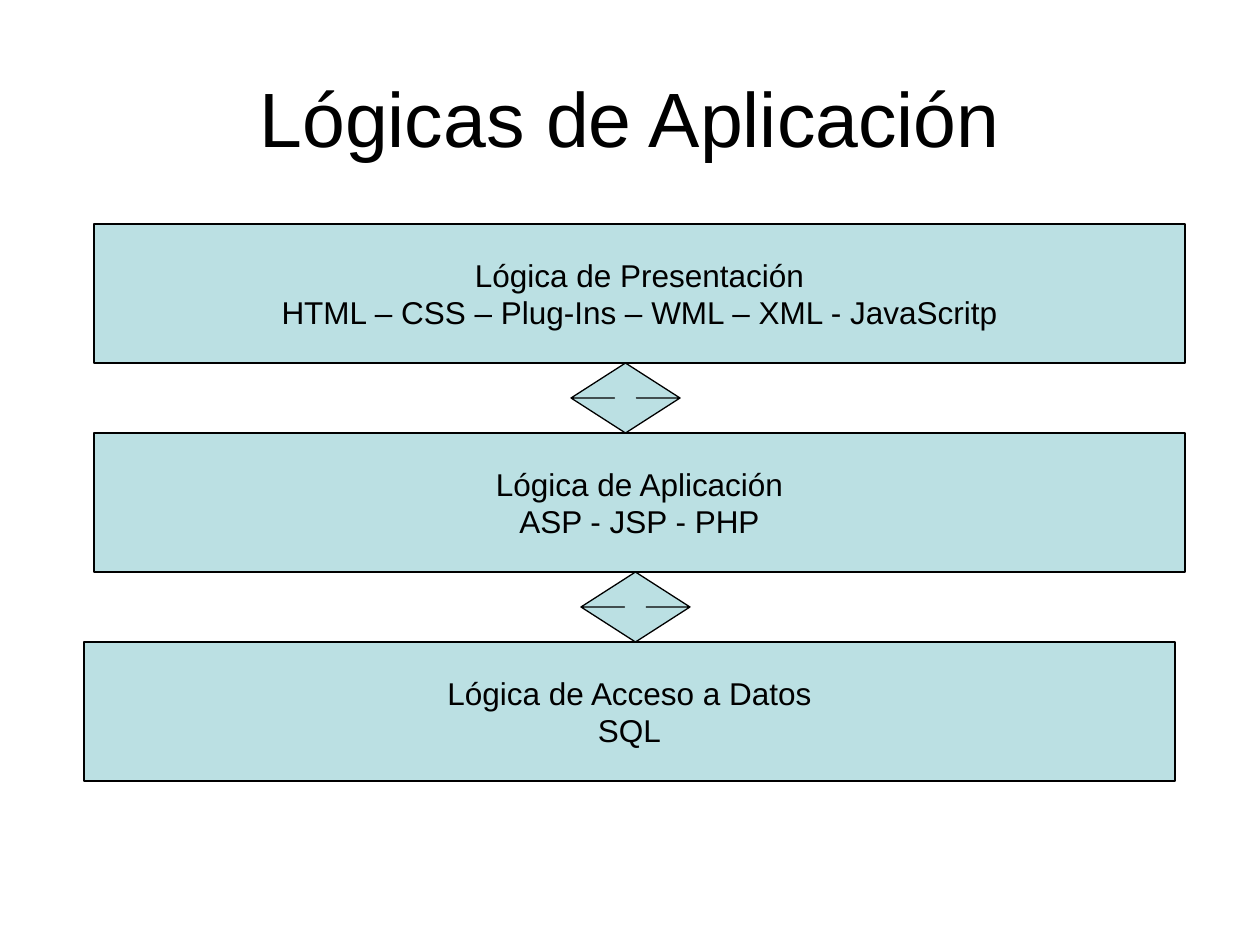
import pptx
import pptx.dml.color
import pptx.enum.shapes
import pptx.enum.text
import pptx.util

EMU_PER_PX = 914400 / 126
COLORS = {"paper": "FFFFFF", "ink": "000000", "layer": "BBE0E3"}
FONT = "Arial"


def px(length):
    return pptx.util.Emu(round(length * EMU_PER_PX))


def color(name):
    return pptx.dml.color.RGBColor.from_string(COLORS[name])


def write(shape, lines, size, wrap=True):
    """Set one centred paragraph per line, in the middle of the shape."""
    frame = shape.text_frame
    frame.text = "\n".join(lines)
    frame.word_wrap = wrap
    frame.auto_size = pptx.enum.text.MSO_AUTO_SIZE.NONE
    frame.vertical_anchor = pptx.enum.text.MSO_ANCHOR.MIDDLE
    for paragraph in frame.paragraphs:
        paragraph.alignment = pptx.enum.text.PP_ALIGN.CENTER
        for run in paragraph.runs:
            run.font.name = FONT
            run.font.size = pptx.util.Pt(size)
            run.font.color.rgb = color("ink")


class LayerDiagram:
    def __init__(self, slide):
        self.slide = slide
        background = slide.background.fill
        background.solid()
        background.fore_color.rgb = color("paper")

    def title(self, text, left, top, width, height):
        heading = self.slide.shapes.title
        heading.left, heading.top = px(left), px(top)
        heading.width, heading.height = px(width), px(height)
        write(heading, [text], size=44)

    def block(self, kind, left, top, width, height):
        """Add a preset shape in the layer colour with a thin outline."""
        shape = self.slide.shapes.add_shape(
            kind, px(left), px(top), px(width), px(height))
        shape.shadow.inherit = False
        shape.fill.solid()
        shape.fill.fore_color.rgb = color("layer")
        shape.line.color.rgb = color("ink")
        shape.line.width = pptx.util.Pt(0.75)
        return shape

    def layer(self, lines, left, top, width, height):
        rectangle = self.block(pptx.enum.shapes.MSO_SHAPE.RECTANGLE,
                               left, top, width, height)
        write(rectangle, lines, size=18, wrap=False)

    def exchange(self, left, top, width, height):
        arrow = self.block(pptx.enum.shapes.MSO_SHAPE.UP_DOWN_ARROW,
                           left, top, width, height)
        arrow.adjustments[0] = 0.5
        arrow.adjustments[1] = 0.2


def main():
    presentation = pptx.Presentation()
    presentation.slide_width, presentation.slide_height = px(1260), px(945)
    title_only = presentation.slide_layouts[5]
    diagram = LayerDiagram(presentation.slides.add_slide(title_only))
    diagram.title("Lógicas de Aplicación", 63, 38, 1134, 157)

    layers = [
        (94, ["Lógica de Presentación",
              "HTML – CSS – Plug-Ins – WML – XML - JavaScritp"]),
        (94, ["Lógica de Aplicación", "ASP - JSP - PHP"]),
        (84, ["Lógica de Acceso a Datos", "SQL"]),
    ]
    first_top, layer_width, layer_height, gap = 224, 1091, 139, 70
    pitch = layer_height + gap
    for index, (left, lines) in enumerate(layers):
        diagram.layer(lines, left, first_top + index * pitch,
                      layer_width, layer_height)
    for index, left in enumerate([571, 581]):
        diagram.exchange(left, first_top + layer_height + index * pitch,
                         109, gap)

    presentation.save("out.pptx")


if __name__ == "__main__":
    main()
